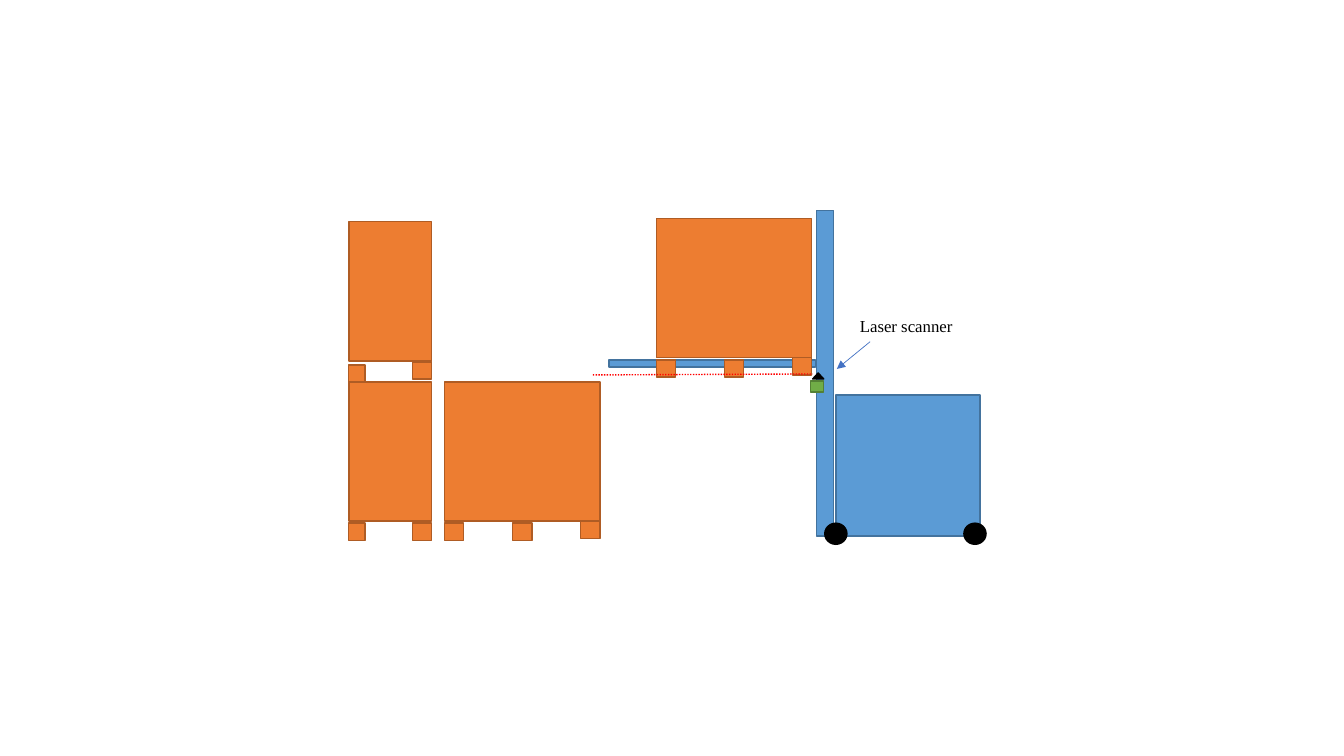
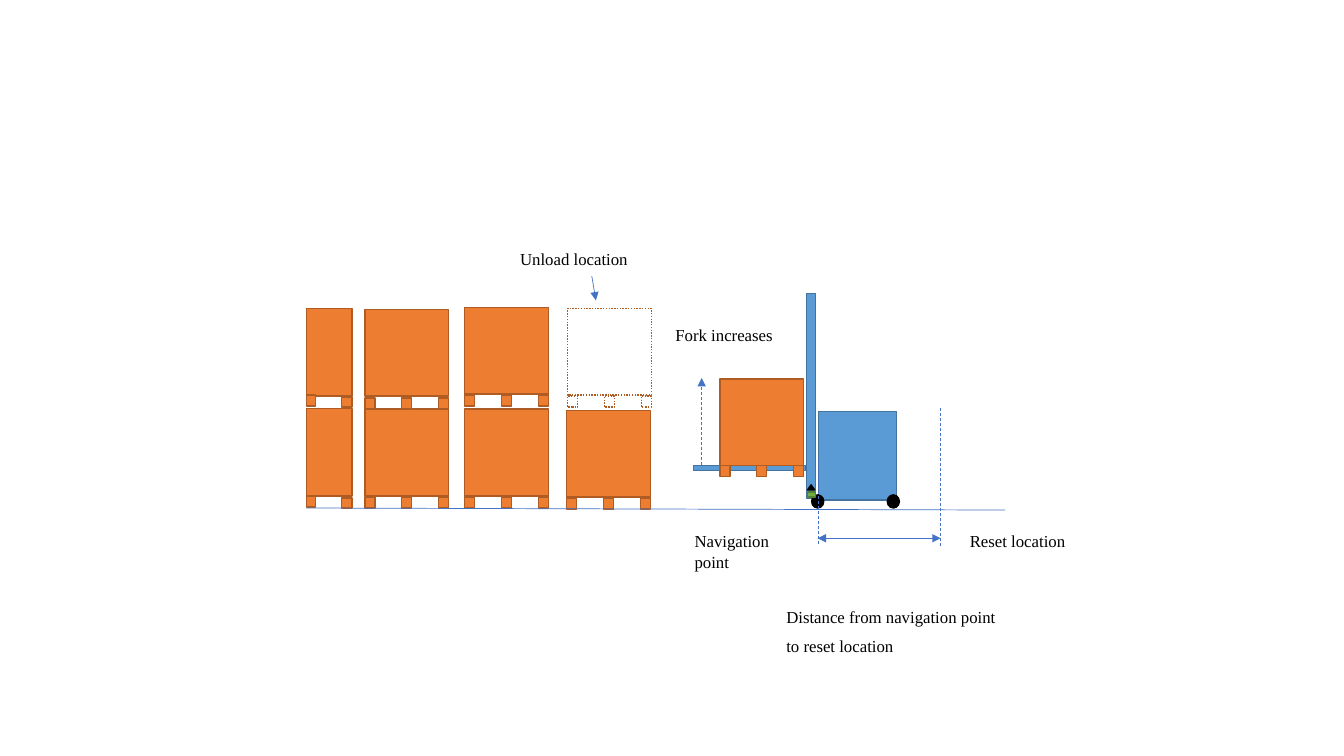
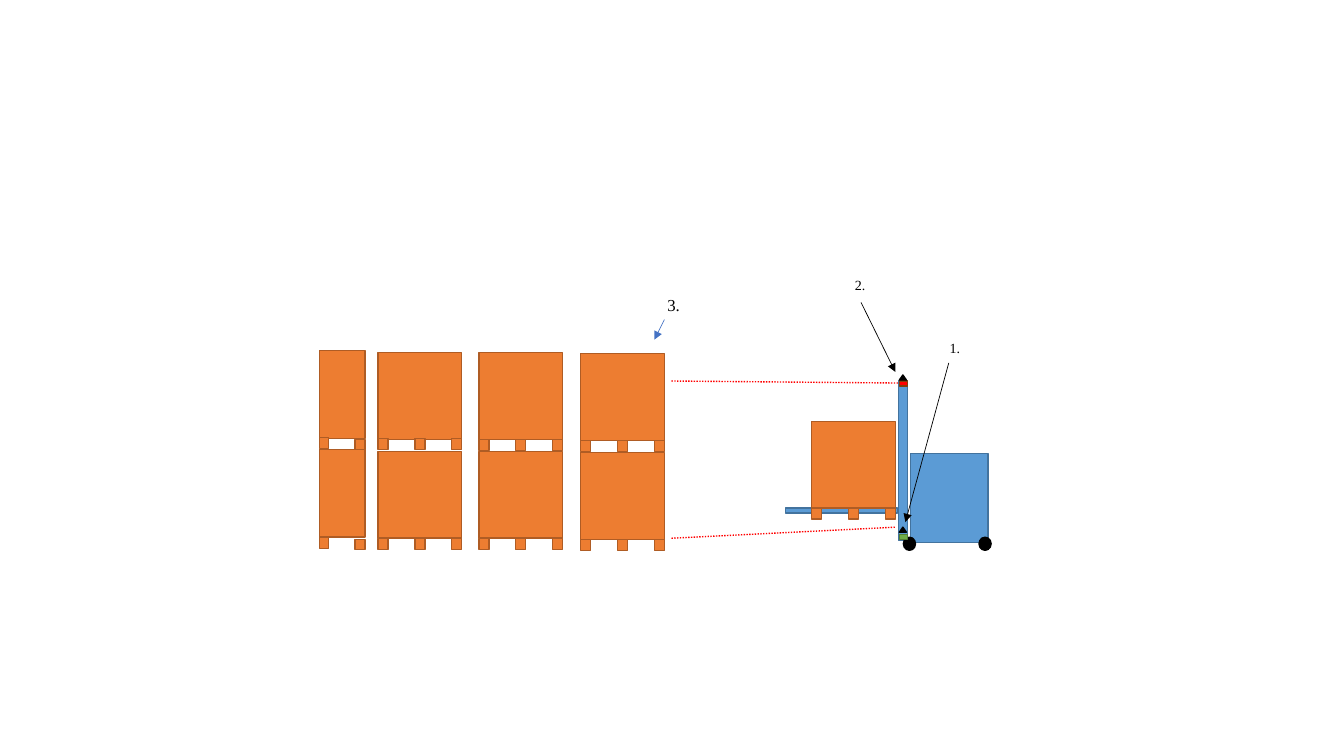
"""Draw three side views of a forklift truck and stacked pallets."""
from lxml.etree import SubElement
from pptx import Presentation
from pptx.dml.color import RGBColor
from pptx.enum.dml import MSO_LINE
from pptx.enum.shapes import MSO_CONNECTOR, MSO_SHAPE
from pptx.enum.text import MSO_ANCHOR, PP_ALIGN
from pptx.oxml.ns import qn
from pptx.util import Inches, Pt

COLOURS = {
    "load": "ED7D31", "load edge": "AF5C24",
    "truck": "5B9BD5", "truck edge": "43739E",
    "scanner": "70AD47", "scanner edge": "538035",
    "marker": "FF0000", "marker edge": "843C0B",
    "black": "000000", "black edge": "000000",
    "empty": "FFFFFF", "empty edge": "AF5C24",
    "laser": "FF0000", "pointer": "4472C4",
}
FONT = "Times New Roman"


def colour(name):
    """Return the named colour."""
    return RGBColor.from_string(COLOURS[name])


class Diagram:
    """Holds the presentation, its style and the current slide."""

    def __init__(self):
        """Start an empty widescreen presentation."""
        self.deck = Presentation()
        self.deck.slide_width = Inches(13.33)
        self.deck.slide_height = Inches(7.5)
        self.shapes = None

    def new_slide(self):
        """Add a blank slide and draw on it from now on."""
        self.shapes = self.deck.slides.add_slide(self.deck.slide_layouts[6]).shapes

    def block(self, place, paint, outline=MSO_SHAPE.RECTANGLE):
        """Draw one filled shape at (left, top, width, height)."""
        shape = self.shapes.add_shape(outline, *map(Inches, place))
        shape.shadow.inherit = False
        shape.fill.solid()
        shape.fill.fore_color.rgb = colour(paint)
        shape.line.color.rgb = colour(f"{paint} edge")
        shape.line.width = Pt(1)
        if paint == "empty":
            shape.line.dash_style = MSO_LINE.ROUND_DOT

    def line(self, start, end, ink="pointer", width=0.5, dash=None, ends=()):
        """Draw a line, with triangles at the ends that are named."""
        connector = self.shapes.add_connector(
            MSO_CONNECTOR.STRAIGHT, *map(Inches, (*start, *end)))
        connector.line.color.rgb = colour(ink)
        connector.line.width = Pt(width)
        if dash:
            connector.line.dash_style = dash
        properties = connector.element.spPr
        for end_name in ends:
            SubElement(properties.find(qn("a:ln")), qn(f"a:{end_name}"), type="triangle")
        SubElement(properties, qn("a:effectLst"))

    def arrow(self, start, end, ink="pointer", dash=None):
        """Draw a line that points at its end."""
        self.line(start, end, ink, dash=dash, ends=("tailEnd",))

    def laser(self, start, end):
        """Draw a dotted laser beam."""
        self.line(start, end, "laser", 1, MSO_LINE.ROUND_DOT)

    def label(self, place, text, size=12):
        """Write a label on a white ground."""
        box = self.shapes.add_textbox(*map(Inches, place))
        box.fill.solid()
        box.fill.fore_color.rgb = colour("empty")
        frame = box.text_frame
        frame.text = text
        frame.word_wrap = False
        frame.vertical_anchor = MSO_ANCHOR.TOP
        for paragraph in frame.paragraphs:
            paragraph.alignment = PP_ALIGN.LEFT
            paragraph.space_after = Pt(6)
            for run in paragraph.runs:
                run.font.name = FONT
                run.font.size = Pt(size)
                run.font.color.rgb = colour("black")

    def pallet(self, load, feet, paint="load"):
        """Draw a load on feet (top, width, height) spread over its width."""
        self.block(load, paint)
        left, _, width, _ = load
        for index, (top, foot_width, height) in enumerate(feet):
            foot_left = left + (width - foot_width) * index / (len(feet) - 1)
            self.block((foot_left, top, foot_width, height), paint)

    def end_pallet(self, left, top, feet_top):
        """Draw a small narrow pallet on two feet."""
        self.pallet((left, top, 0.45, 0.87),
                    [(feet_top, 0.09, 0.11), (feet_top + 0.02, 0.1, 0.1)])

    def small_pallet(self, left, top, feet_top, paint="load"):
        """Draw a small wide pallet on three feet."""
        self.pallet((left, top, 0.83, 0.86), [(feet_top, 0.1, 0.11)] * 3, paint)

    def scanner(self, case, lens, paint="scanner"):
        """Draw a scanner case with its lens."""
        self.block(case, paint)
        self.block(lens, "black", MSO_SHAPE.ISOSCELES_TRIANGLE)

    def chassis(self, mast, body, wheel_lefts, wheel_top, wheel_size):
        """Draw the mast, body and wheels of a truck."""
        self.block(mast, "truck")
        self.block(body, "truck")
        for left in wheel_lefts:
            self.block((left, wheel_top, *wheel_size), "black", MSO_SHAPE.OVAL)

    def small_truck(self, mast_left, ground, mast_top):
        """Draw a small loaded truck that stands on the ground."""
        x, y = mast_left, ground
        self.block((x - 1.12, y - 0.42, 1.11, 0.05), "truck")
        self.small_pallet(x - 0.86, y - 1.28, y - 0.42)
        self.chassis((x, mast_top, 0.09, y - 0.1 - mast_top),
                     (x + 0.12, y - 0.96, 0.77, 0.88),
                     (x + 0.05, x + 0.8), y - 0.13, (0.12, 0.13))
        self.scanner((x + 0.01, y - 0.16, 0.08, 0.05), (x + 0.01, y - 0.23, 0.07, 0.05))


def draw_scanner_position(diagram):
    """Show where the laser scanner sits on the truck."""
    diagram.new_slide()
    diagram.block((6.04, 3.57, 2.05, 0.07), "truck")
    for load_left, load_top in ((4.41, 3.79), (6.51, 2.17)):
        diagram.pallet((load_left, load_top, 1.54, 1.38),
                       [(load_top + drop, 0.19, 0.17) for drop in (1.4, 1.4, 1.38)])
    diagram.chassis((8.1, 2.09, 0.17, 3.23), (8.29, 3.92, 1.43, 1.4),
                    (8.18, 9.56), 5.19, (0.22, 0.21))
    for load_top, left_foot, right_foot in ((3.79, 5.19, 5.19), (2.2, 3.62, 3.59)):
        diagram.pallet((3.46, load_top, 0.82, 1.38),
                       [(left_foot, 0.16, 0.17), (right_foot, 0.19, 0.17)])
    diagram.scanner((8.04, 3.78, 0.13, 0.11), (8.06, 3.7, 0.11, 0.06))
    diagram.laser((5.88, 3.72), (8.06, 3.71))
    diagram.label((8.43, 3.08, 1.13, 0.31), "Laser scanner")
    diagram.arrow((8.63, 3.39), (8.3, 3.66))


def draw_unloading(diagram):
    """Show the fork rising in front of the unload location."""
    diagram.new_slide()
    for top, feet_top in ((4.05, 4.92), (3.06, 3.92)):
        diagram.end_pallet(3.04, top, feet_top)
    diagram.small_pallet(5.63, 3.06, 3.93, "empty")
    for left, top, feet_top in ((3.62, 4.06, 4.93), (4.61, 4.06, 4.93), (5.62, 4.07, 4.94),
                                (3.62, 3.07, 3.95), (4.61, 3.05, 3.92)):
        diagram.small_pallet(left, top, feet_top)
    diagram.small_truck(8, 5.04, 2.91)
    for place, text in (
        ((5.06, 2.42, 1.28, 0.35), "Unload location"),
        ((6.6, 3.17, 1.28, 0.35), "Fork increases"),
        ((7.7, 5.97, 2.31, 0.66), "Distance from navigation point\nto reset location"),
        ((6.79, 5.22, 1.26, 0.28), "Navigation point"),
        ((9.52, 5.22, 1.26, 0.28), "Reset location"),
    ):
        diagram.label(place, text)
    diagram.arrow((5.87, 2.74), (5.91, 2.98))
    diagram.arrow((6.96, 4.61), (6.96, 3.75), dash=MSO_LINE.DASH)
    diagram.line((8.11, 5.34), (9.33, 5.34), ends=("headEnd", "tailEnd"))
    diagram.line((8.12, 5.4), (8.12, 4.55), dash=MSO_LINE.DASH)
    diagram.line((9.33, 5.42), (9.33, 4.05), dash=MSO_LINE.DASH)
    diagram.line((9.97, 5.06), (3.04, 5.04))


def draw_two_scanners(diagram):
    """Show the lower and upper scanner measuring the full stack."""
    diagram.new_slide()
    for top, feet_top in ((4.46, 5.33), (3.48, 4.34)):
        diagram.end_pallet(3.17, top, feet_top)
    for left, top, feet_top in ((3.75, 4.48, 5.34), (4.75, 4.48, 5.34), (5.76, 4.49, 5.35),
                                (3.75, 3.5, 4.35), (4.75, 3.5, 4.36), (5.76, 3.51, 4.37)):
        diagram.small_pallet(left, top, feet_top)
    diagram.small_truck(8.91, 5.46, 3.78)
    diagram.scanner((8.92, 3.78, 0.08, 0.05), (8.92, 3.72, 0.07, 0.05), "marker")
    diagram.laser((6.66, 5.34), (8.88, 5.23))
    diagram.laser((6.66, 3.78), (8.92, 3.8))
    diagram.label((6.52, 2.87, 0.59, 0.35), "3.")
    diagram.label((9.32, 3.32, 0.48, 0.29), "1.", 10)
    diagram.label((8.38, 2.69, 0.48, 0.29), "2.", 10)
    diagram.arrow((6.59, 3.17), (6.49, 3.37))
    diagram.arrow((9.41, 3.6), (8.98, 5.18), "black")
    diagram.arrow((8.54, 3), (8.88, 3.69), "black")


def main():
    """Build and save the three slides."""
    diagram = Diagram()
    draw_scanner_position(diagram)
    draw_unloading(diagram)
    draw_two_scanners(diagram)
    diagram.deck.save("out.pptx")


if __name__ == "__main__":
    main()
